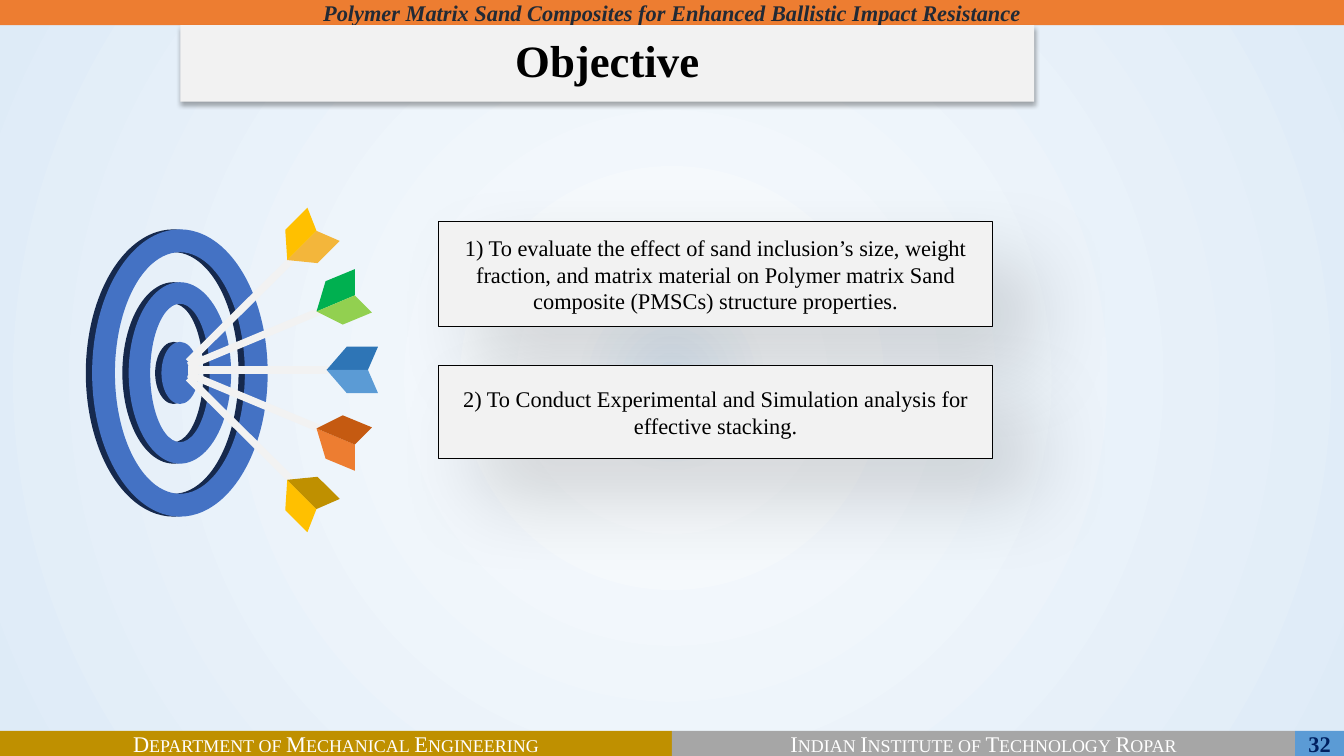
from lxml.etree import SubElement
from pptx import Presentation
from pptx.dml.color import RGBColor
from pptx.enum.shapes import MSO_CONNECTOR as CONN, MSO_SHAPE as SHAPE
from pptx.enum.text import MSO_ANCHOR as ANCHOR, PP_ALIGN as ALIGN
from pptx.oxml import parse_xml
from pptx.oxml.ns import nsdecls, qn
from pptx.util import Inches, Pt

# Square grid of 160 columns by 90 rows
COLS, ROWS = 160, 90
CELL = Inches(7.5) / ROWS
FONT = "Times New Roman"
AXIS = 44.04  # row about which the darts mirror
BLUE, SIDE, PALE, BLACK, WHITE = "4472C4", "16294D", "F2F2F2", "000000", "FFFFFF"

# left, width, fill, text, text colour, bold, small caps
FOOTER = [
    (0, 80, "BF9000", "Department of Mechanical Engineering", WHITE, False, True),
    (80, 74.2, "A6A6A6", "Indian Institute of Technology Ropar", WHITE, False, True),
    (154.2, 5.8, "5B9BD5", "32", "002060", True, False),
]
# top, height, text
OBJECTIVES = [
    (26.4, 12.48, "1) To evaluate the effect of sand inclusion’s size, weight fraction, "
     "and matrix material on Polymer matrix Sand composite (PMSCs) structure properties."),
    (43.56, 11.04, "2) To Conduct Experimental and Simulation analysis for effective stacking."),
]
# width, height, band as a share of the width
RINGS = [(20.9, 34.2, 0.13), (12.2, 21.6, 0.21), (4.4, 7.4, None)]
# shaft ends, upper feather, lower feather
STEEP = (((34.68, 30.96), (22.44, 43.08)),
         [(34.2, 30.96), (33.96, 27.36), (36.6, 24.72), (37.68, 27.48)],
         [(34.2, 30.96), (37.68, 27.48), (40.44, 28.68), (37.8, 31.32)])
SLANTED = (((38.28, 36.96), (22.44, 43.56)),
           [(37.68, 37.08), (38.76, 33.48), (42.24, 32.04), (42.24, 35.16)],
           [(37.68, 37.08), (42.24, 35.16), (44.28, 37.2), (40.8, 38.64)])
LEVEL = (((39.6, AXIS), (22.44, AXIS)),
         [(38.88, AXIS), (41.28, 41.28), (45, 41.28), (43.8, AXIS)],
         [(38.88, AXIS), (43.8, AXIS), (45, 46.8), (41.28, 46.8)])
# geometry, mirrored, feather colours
DARTS = [
    (STEEP, False, "FFC000", "F3B63B"),
    (SLANTED, False, "00B050", "92D050"),
    (LEVEL, False, "2E75B6", "5B9BD5"),
    (SLANTED, True, "ED7D31", "C55A11"),
    (STEEP, True, "FFC000", "BF9000"),
]


def grid(n):
    return round(n * CELL)


def color(hex_text):
    return RGBColor.from_string(hex_text)


def set_background(s):
    s.background.fill.solid()
    bg = s._element.find(".//" + qn("p:bgPr"))
    stops = "".join(f'<a:gs pos="{pos}"><a:srgbClr val="{c}"/></a:gs>' for pos, c in
                    [(0, "DEEBF7"), (13000, "F7FAFD"), (100000, "DEEBF7")])
    bg.replace(bg[0], parse_xml(
        f'<a:gradFill {nsdecls("a")} rotWithShape="1"><a:gsLst>{stops}</a:gsLst>'
        '<a:path path="circle"><a:fillToRect l="50000" t="50000" r="50000" b="50000"/>'
        '</a:path></a:gradFill>'))


def paint(sp, fill, line=None):
    sp.shadow.inherit = False
    sp.fill.solid()
    sp.fill.fore_color.rgb = color(fill)
    if line:
        sp.line.color.rgb = color(line)
        sp.line.width = Pt(0.75)
    else:
        sp.line.fill.background()


def add_shadow(sp, alpha, blur, dist, angle):
    effects = sp._element.spPr.find(qn("a:effectLst"))
    shadow = SubElement(effects, qn("a:outerShdw"), blurRad=str(Pt(blur)), dist=str(Pt(dist)),
                        dir=str(angle * 60000), algn="t", rotWithShape="0")
    tint = SubElement(shadow, qn("a:srgbClr"), val=BLACK)
    SubElement(tint, qn("a:alpha"), val=str(alpha * 1000))


def write(sp, text, size=16, ink=BLACK, bold=False, italic=False, caps=False,
          inset=0.0, spacing=None):
    tf = sp.text_frame
    tf.word_wrap = True
    tf.vertical_anchor = ANCHOR.MIDDLE
    tf.margin_left = tf.margin_right = tf.margin_top = tf.margin_bottom = Inches(inset)
    p = tf.paragraphs[0]
    p.alignment = ALIGN.CENTER
    if spacing:
        p.line_spacing = spacing
    r = p.add_run()
    r.text = text
    r.font.name, r.font.size = FONT, Pt(size)
    r.font.bold, r.font.italic = bold, italic
    r.font.color.rgb = color(ink)
    if caps:
        r._r.get_or_add_rPr().set("cap", "small")


def add_box(s, x, y, w, h, fill, line=None, kind=SHAPE.RECTANGLE):
    sp = s.shapes.add_shape(kind, grid(x), grid(y), grid(w), grid(h))
    paint(sp, fill, line)
    return sp


def add_feather(s, points, fill):
    start, *rest = [(grid(x), grid(y)) for x, y in points]
    builder = s.shapes.build_freeform(*start, scale=1.0)
    builder.add_line_segments(rest, close=True)
    paint(builder.convert_to_shape(), fill)


def add_ring(s, w, h, band):
    """Blue front face over a dark side set slightly to the left."""
    for center, fill in ((20.67, SIDE), (21.42, BLUE)):
        sp = add_box(s, center - w / 2, 44.4 - h / 2, w, h, fill,
                     kind=SHAPE.DONUT if band else SHAPE.OVAL)
        if band:
            sp.adjustments[0] = band


def add_dart(s, dart, mirrored, upper, lower):
    shaft, *feathers = [[(x, 2 * AXIS - y if mirrored else y) for x, y in part]
                        for part in dart]
    (x1, y1), (x2, y2) = shaft
    line = s.shapes.add_connector(CONN.STRAIGHT, grid(x1), grid(y1), grid(x2), grid(y2))
    line.line.color.rgb = color(PALE)
    line.line.width = Pt(5.25)
    SubElement(line._element.spPr, qn("a:effectLst"))
    for points, fill in zip(feathers, (upper, lower)):
        add_feather(s, points, fill)


def add_ground_shadow(s):
    sp = add_box(s, 0, 58.32, 42.24, 8.64, BLACK, kind=SHAPE.OVAL)
    spPr = sp._element.spPr
    SubElement(spPr.find(".//" + qn("a:srgbClr")), qn("a:alpha"), val="15000")
    SubElement(spPr.find(qn("a:effectLst")), qn("a:softEdge"), rad=str(Pt(25)))


def main():
    prs = Presentation()
    prs.slide_width, prs.slide_height = grid(COLS), grid(ROWS)
    s = prs.slides.add_slide(prs.slide_layouts[6])
    set_background(s)

    # Header and footer bars
    write(add_box(s, 0, 0, COLS, 3, "ED7D31"),
          "Polymer Matrix Sand Composites for Enhanced Ballistic Impact Resistance",
          ink="222A35", bold=True, italic=True)
    for x, w, fill, text, ink, bold, caps in FOOTER:
        write(add_box(s, x, ROWS - 3, w, 3, fill), text, ink=ink, bold=bold, caps=caps)

    # Title
    title = add_box(s, 21.48, 3, 101.64, 9.12, PALE)
    add_shadow(title, 32, 3.5, 2.2, 90)
    write(title, "Objective", size=32, bold=True, spacing=0.9)

    # Target with darts
    add_ground_shadow(s)
    for w, h, band in RINGS:
        add_ring(s, w, h, band)
    for dart in DARTS:
        add_dart(s, *dart)

    # Objectives
    for y, h, text in OBJECTIVES:
        sp = add_box(s, 52.2, y, 66, h, PALE, line=BLACK)
        add_shadow(sp, 15, 60, 40, 45)
        write(sp, text, inset=0.05)

    prs.save("out.pptx")


if __name__ == "__main__":
    main()
